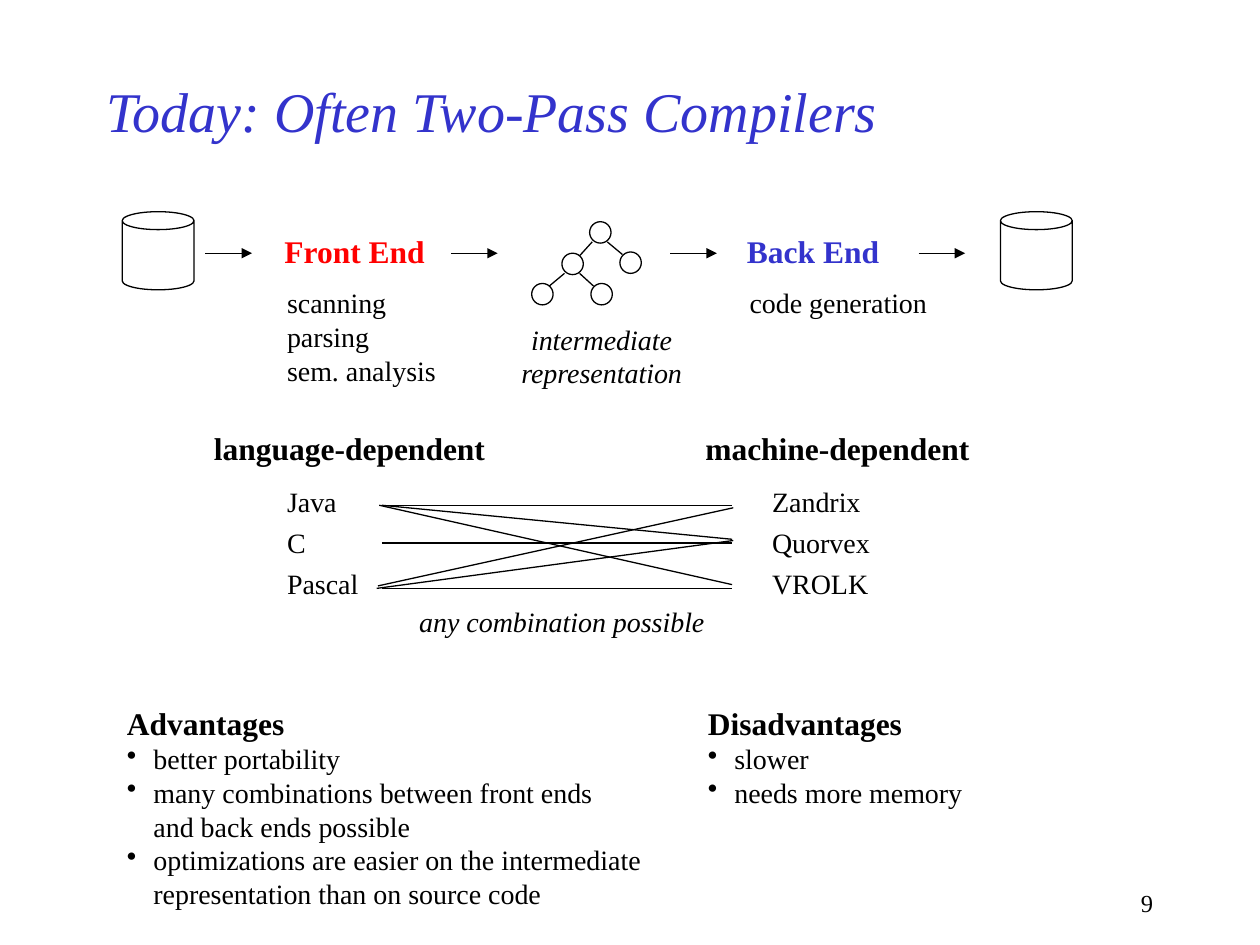
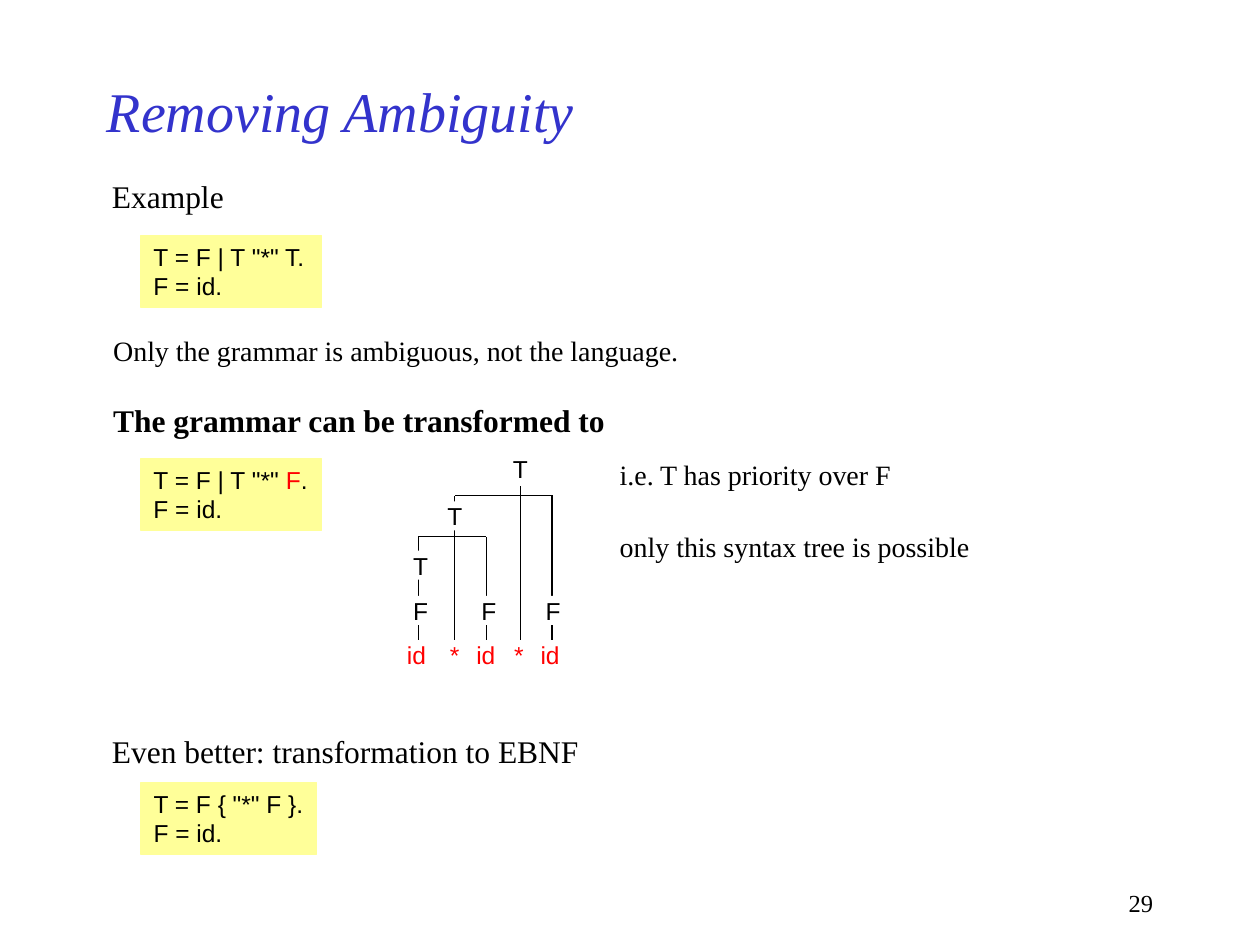
from dataclasses import dataclass

from lxml.etree import SubElement
from pptx import Presentation
from pptx.dml.color import RGBColor as RGB
from pptx.enum.shapes import MSO_CONNECTOR as LINK, MSO_SHAPE as FORM
from pptx.enum.text import MSO_ANCHOR as ANCHOR, MSO_AUTO_SIZE as FIT, PP_ALIGN as ALIGN
from pptx.oxml.ns import qn
from pptx.util import Emu, Pt

PX = 9144


@dataclass(frozen=True)
class Theme:
    """Colours, fonts and type sizes in points."""
    ink: RGB = RGB(0, 0, 0)
    blue: RGB = RGB(0x33, 0x33, 0xCC)
    red: RGB = RGB(0xFF, 0, 0)
    note: RGB = RGB(0xFF, 0xFF, 0x99)
    paper: RGB = RGB(0xFF, 0xFF, 0xFF)
    serif: str = "Times New Roman"
    sans: str = "Arial"
    title: int = 32
    head: int = 18
    body: int = 16
    code: int = 14
    line: float = 0.75


T = Theme()


def px(*vals):
    """Turn px lengths into EMU."""
    return [Emu(round(val * PX)) for val in vals]


def write(shape, lines, size=T.body, color=T.ink, face=T.serif, bold=False,
          italic=False, align=ALIGN.LEFT, gap=0, grow=True, inset=(10, 5)):
    """Fill a shape with paragraphs; a list stands for (text, colour) runs."""
    frame = shape.text_frame
    frame.word_wrap = not grow
    frame.auto_size = FIT.SHAPE_TO_FIT_TEXT if grow else FIT.NONE
    frame.vertical_anchor = ANCHOR.TOP
    frame.margin_left, frame.margin_top = px(*inset)
    frame.margin_right, frame.margin_bottom = px(*inset)
    for i, line in enumerate(lines):
        para = frame.add_paragraph() if i else frame.paragraphs[0]
        if isinstance(line, str):
            para.text = line
        else:
            for word, tint in line:
                run = para.add_run()
                run.text = word
                run.font.color.rgb = tint
        font = para.font
        font.size, font.name, font.bold, font.italic = Pt(size), face, bold, italic
        font.color.rgb = color
        para.alignment, para.space_before = align, Pt(gap)
    return frame


def text(slide, box, lines, **style):
    """Add a text box."""
    return write(slide.shapes.add_textbox(*px(*box)), lines, **style)


def form(slide, kind, box, fill=None, line=T.ink):
    """Add a preset shape without shadow."""
    shape = slide.shapes.add_shape(kind, *px(*box))
    shape.shadow.inherit = False
    if fill is None:
        shape.fill.background()
    else:
        shape.fill.solid()
        shape.fill.fore_color.rgb = fill
    if line is None:
        shape.line.fill.background()
    else:
        shape.line.color.rgb = line
        shape.line.width = Pt(T.line)
    return shape


def link(slide, x1, y1, x2, y2, arrow=False):
    """Draw a straight line, with an arrowhead at its end if asked."""
    wire = slide.shapes.add_connector(LINK.STRAIGHT, *px(x1, y1, x2, y2))
    wire.line.color.rgb = T.ink
    wire.line.width = Pt(T.line)
    if arrow:
        SubElement(wire.line._get_or_add_ln(), qn("a:tailEnd"), type="triangle")
    SubElement(wire._element.spPr, qn("a:effectLst"))


def page(deck, title, number):
    """Add a slide with its title and page number."""
    slide = deck.slides.add_slide(deck.slide_layouts[6])
    frame = text(slide, (75, 50, 750, 75), [title], size=T.title, color=T.blue,
                 italic=True, grow=False)
    frame.vertical_anchor = ANCHOR.MIDDLE
    text(slide, (717, 700, 208, 33), [str(number)], size=T.code,
         align=ALIGN.RIGHT, grow=False)
    return slide


def stage(slide, box, name, color, steps):
    """Name a compiler stage and list its steps below."""
    x, y, w, h = box
    text(slide, (x, y, w, 40), [name], size=T.head, color=color, bold=True)
    text(slide, (x + 2, y + 43, w, h - 43), steps)


def graph(slide, box):
    """Draw the tree of circles with its caption."""
    x, y, w, h = box
    nodes = [(x + dx, y + dy) for dx, dy in
             ((46, 0), (24, 25), (70, 24), (0, 49), (47, 49))]
    for top, low in ((0, 1), (0, 2), (1, 3), (1, 4)):
        (ax, ay), (bx, by) = nodes[top], nodes[low]
        side = 6 if bx > ax else -6
        link(slide, ax + 8 + side, ay + 16, bx + 8 - side, by + 2)
    for left, top in nodes:
        form(slide, FORM.OVAL, (left, top, 17, 17))
    text(slide, (x - 24, y + 75, w, h - 75), ["intermediate", "representation"],
         italic=True, align=ALIGN.CENTER)


def flow(slide, box):
    """Draw the path from source to target through both passes."""
    x, y, w, h = box
    for left in (x, x + w - 57):
        form(slide, FORM.CAN, (left, y, 57, 62))
    for left in (66, 261, 435, 632):
        link(slide, x + left, y + 33, x + left + 37, y + 33, arrow=True)
    stage(slide, (x + 119, y + 11, 150, h - 14), "Front End", T.red,
          ["scanning", "parsing", "sem. analysis"])
    stage(slide, (x + 486, y + 11, 175, 80), "Back End", T.blue, ["code generation"])
    graph(slide, (x + 325, y + 8, 159, h - 8))


def pairs(slide, box):
    """Join every language with the machines."""
    x, y, w, h = box
    for left, head, shift, names in (
            (0, "language-dependent", 58, ["Java", "C", "Pascal"]),
            (390, "machine-dependent", 53, ["Zandrix", "Quorvex", "VROLK"])):
        text(slide, (x + left, y, 250, 40), [head], size=T.head, bold=True)
        text(slide, (x + left + shift, y + 44, 120, 101), names, gap=4)
    for x1, y1, x2, y2 in ((143, 65, 421, 65), (143, 65, 421, 92),
                           (141, 65, 421, 128), (140, 129, 422, 67),
                           (139, 131, 422, 93), (143, 95, 421, 95),
                           (143, 131, 421, 131)):
        link(slide, x + x1, y + y1, x + x2, y + y2)
    text(slide, (x + 151, y + h - 37, 270, 37), ["any combination possible"],
         italic=True, align=ALIGN.CENTER)


def points(slide, box, head, items):
    """Write a bold heading over a bulleted list."""
    frame = text(slide, box, [head, *items])
    for i, para in enumerate(frame.paragraphs):
        props = para._p.get_or_add_pPr()
        indent = px(21)[0]
        props.set("marL", str(indent))
        props.set("indent", str(-indent))
        if i:
            SubElement(props, qn("a:buChar"), char="•")
        else:
            para.font.size, para.font.bold = Pt(T.head), True


def rules(slide, box, lines):
    """Show grammar rules on a yellow field."""
    write(form(slide, FORM.RECTANGLE, box, T.note, T.note), lines,
          size=T.code, face=T.sans)


def parse_tree(slide, box):
    """Draw the syntax tree of id * id * id."""
    x, y, w, h = box
    stems = ((9, 66), (38, 34), (63, 66), (90, 26), (115, 33))
    for dx, top in stems:
        link(slide, x + dx, y + h - 21, x + dx, y + top)
    for left, right, dy in ((9, 63, 66), (38, 115, 33)):
        link(slide, x + left, y + dy, x + right, y + dy)
    marks = [("T", 84, 0), ("T", 32, 38), ("T", 5, 77)]
    marks += [("F", dx, 113) for dx in (5, 59, 110)]
    marks += [("id", dx, 148) for dx in (0, 55, 106)]
    marks += [("*", dx, 148) for dx in (34, 85)]
    wide = {"T": 13, "F": 13, "id": 18, "*": 9}
    for mark, dx, dy in marks:
        cell = form(slide, FORM.RECTANGLE, (x + dx, y + dy, wide[mark], 23),
                    T.paper, None)
        write(cell, [mark], size=T.code, face=T.sans, inset=(0, 0),
              color=T.ink if mark in "TF" else T.red)


def passes(deck):
    """Build the slide on two-pass compilers."""
    slide = page(deck, "Today: Often Two-Pass Compilers", 9)
    flow(slide, (97, 168, 754, 147))
    pairs(slide, (160, 336, 640, 176))
    points(slide, (91, 554, 440, 174), "Advantages", [
        "better portability",
        "many combinations between front ends\nand back ends possible",
        "optimizations are easier on the intermediate\n"
        "representation than on source code"])
    points(slide, (552, 554, 240, 94), "Disadvantages",
           ["slower", "needs more memory"])


def grammar(deck):
    """Build the slide on ambiguous grammars."""
    slide = page(deck, "Removing Ambiguity", 29)
    last = "F = id."
    text(slide, (79, 136, 120, 40), ["Example"], size=T.head)
    rules(slide, (112, 187, 143, 57), ['T = F | T "*" T.', last])
    text(slide, (80, 260, 490, 37),
         ["Only the grammar is ambiguous, not the language."])
    text(slide, (80, 313, 440, 40), ["The grammar can be transformed to"],
         size=T.head, bold=True)
    rules(slide, (112, 364, 143, 57),
          [[('T = F | T "*" ', T.ink), ("F", T.red), (".", T.ink)], last])
    parse_tree(slide, (323, 360, 124, 171))
    text(slide, (482, 358, 250, 37), ["i.e. T has priority over F"])
    text(slide, (482, 415, 320, 37), ["only this syntax tree is possible"])
    text(slide, (79, 576, 410, 40), ["Even better: transformation to EBNF"],
         size=T.head)
    rules(slide, (112, 621, 139, 57), ['T = F { "*" F }.', last])


def main():
    """Build and save the deck."""
    deck = Presentation()
    deck.slide_width, deck.slide_height = px(1000, 750)
    passes(deck)
    grammar(deck)
    deck.save("out.pptx")


if __name__ == "__main__":
    main()
